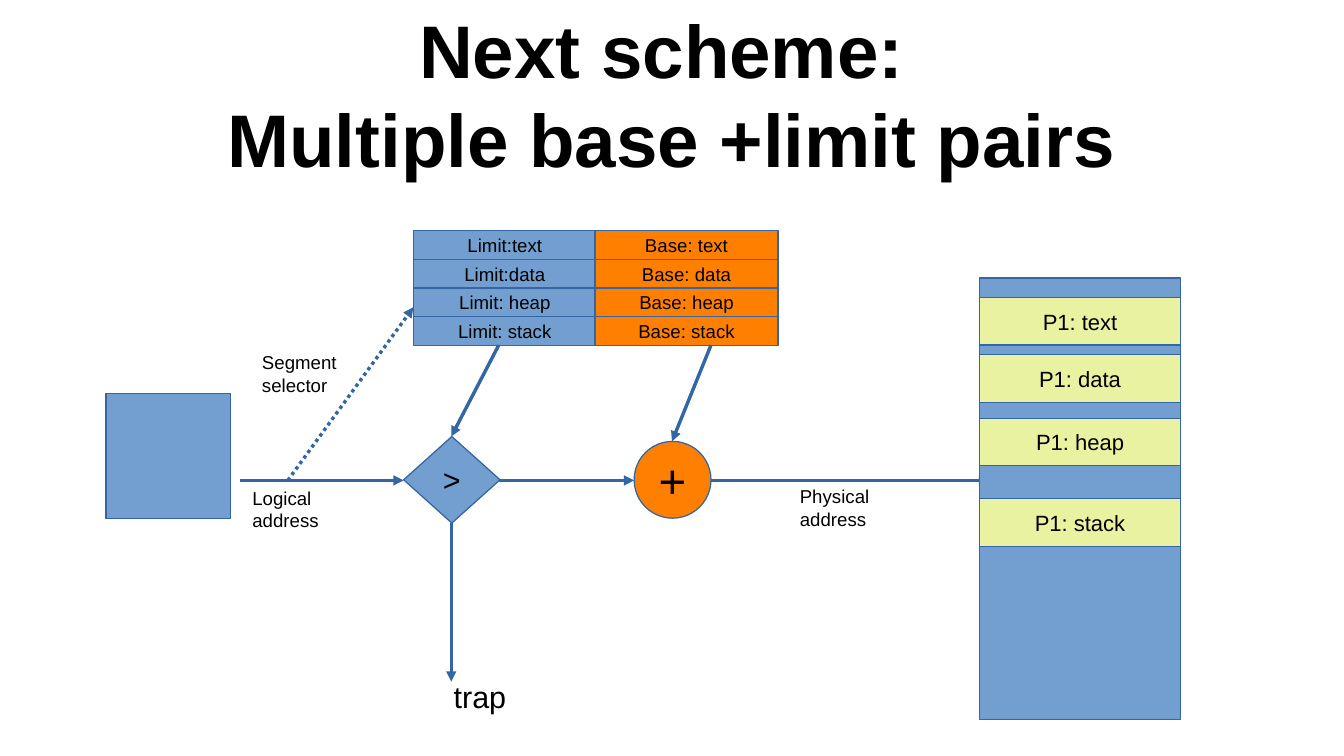
"""Draw address translation with several base and limit pairs."""
import pptx
import pptx.dml.color
import pptx.enum.dml
import pptx.enum.shapes
import pptx.enum.text
import pptx.oxml
import pptx.util
from pptx.util import Inches

BLUE, ORANGE, LIME, EDGE, BLACK = "729FCF", "FF8000", "E8F2A1", "3465A4", "000000"
SHAPE = pptx.enum.shapes.MSO_SHAPE
ALIGN = pptx.enum.text.PP_ALIGN
ANCHOR = pptx.enum.text.MSO_ANCHOR
SEGMENTS = ["text", "data", "heap", "stack"]


def colour(value):
    return pptx.dml.color.RGBColor.from_string(value)


def write(frame, text, size, align, bold=False):
    para = frame.paragraphs[0]
    para.text = text
    para.alignment = align
    para.font.name = "Arial"
    para.font.size = pptx.util.Pt(size)
    para.font.bold = bold
    para.font.color.rgb = colour(BLACK)


def add_node(page, kind, left, top, width, height, fill, text="", size=11):
    node = page.shapes.add_shape(kind, Inches(left), Inches(top), Inches(width), Inches(height))
    node.shadow.inherit = False
    node.fill.solid()
    node.fill.fore_color.rgb = colour(fill)
    node.line.color.rgb = colour(EDGE)
    node.line.width = 0
    if text:
        node.text_frame.word_wrap = False
        node.text_frame.vertical_anchor = ANCHOR.MIDDLE
        write(node.text_frame, text, size, ALIGN.CENTER)


def add_label(page, left, top, width, height, text, size=11, align=ALIGN.LEFT):
    box = page.shapes.add_textbox(Inches(left), Inches(top), Inches(width), Inches(height))
    box.text_frame.word_wrap = True
    write(box.text_frame, text, size, align)


def add_title(page, text):
    box = page.shapes.add_textbox(Inches(0.55), Inches(0.08), Inches(9.92), Inches(1.37))
    frame = box.text_frame
    frame.word_wrap = True
    frame.vertical_anchor = ANCHOR.MIDDLE
    frame.margin_left = frame.margin_right = frame.margin_top = frame.margin_bottom = 0
    write(frame, text, 44, ALIGN.CENTER, bold=True)


def add_arrow(page, start_x, start_y, end_x, end_y, dotted=False):
    arrow = page.shapes.add_connector(
        pptx.enum.shapes.MSO_CONNECTOR.STRAIGHT,
        Inches(start_x), Inches(start_y), Inches(end_x), Inches(end_y))
    arrow.line.color.rgb = colour(EDGE)
    arrow.line.width = 0
    if dotted:
        arrow.line.dash_style = pptx.enum.dml.MSO_LINE.ROUND_DOT
    namespace = pptx.oxml.ns.nsdecls("a")
    head = pptx.oxml.parse_xml(f'<a:tailEnd {namespace} type="triangle"/>')
    arrow.line._get_or_add_ln().append(head)
    arrow._element.spPr.append(pptx.oxml.parse_xml(f"<a:effectLst {namespace}/>"))


def add_segment_pairs(page):
    row_height = 0.236
    for row, segment in enumerate(SEGMENTS):
        top = 1.89 + row * row_height
        gap = "" if row < 2 else " "
        add_node(page, SHAPE.RECTANGLE, 3.39, top, 1.5, row_height, BLUE, f"Limit:{gap}{segment}")
        add_node(page, SHAPE.RECTANGLE, 4.88, top, 1.5, row_height, ORANGE, f"Base: {segment}")


def add_memory(page):
    add_node(page, SHAPE.RECTANGLE, 8.03, 2.28, 1.65, 3.62, BLUE)
    for segment, top in zip(SEGMENTS, [2.44, 2.91, 3.43, 4.09]):
        add_node(page, SHAPE.RECTANGLE, 8.03, top, 1.65, 0.39, LIME, f"P1: {segment}", 13)


def main():
    deck = pptx.Presentation()
    deck.slide_width, deck.slide_height = Inches(11.02), Inches(6.2)
    page = deck.slides.add_slide(deck.slide_layouts[6])
    add_title(page, "Next scheme: \vMultiple base +limit pairs")
    add_segment_pairs(page)
    add_node(page, SHAPE.RECTANGLE, 0.87, 3.23, 1.02, 1.02, BLUE)
    add_node(page, SHAPE.DIAMOND, 3.31, 3.58, 0.79, 0.71, BLUE, ">", 18)
    add_node(page, SHAPE.OVAL, 5.2, 3.62, 0.63, 0.63, ORANGE, "+", 28)
    for start, end in [(1.97, 3.31), (4.09, 5.2), (5.83, 8.11)]:
        add_arrow(page, start, 3.94, end, 3.94)
    add_arrow(page, 4.09, 2.83, 3.7, 3.58)
    add_arrow(page, 5.83, 2.83, 5.51, 3.62)
    add_arrow(page, 3.7, 4.29, 3.7, 5.59)
    add_memory(page)
    add_arrow(page, 2.36, 3.94, 3.39, 2.52, dotted=True)
    add_label(page, 1.97, 3.94, 1.18, 0.44, "Logical address")
    add_label(page, 6.46, 3.93, 1.18, 0.44, "Physical address")
    add_label(page, 2.05, 2.83, 0.94, 0.44, "Segment selector")
    add_label(page, 2.99, 5.51, 1.89, 0.38, "trap", 18, ALIGN.CENTER)
    deck.save("out.pptx")


if __name__ == "__main__":
    main()
